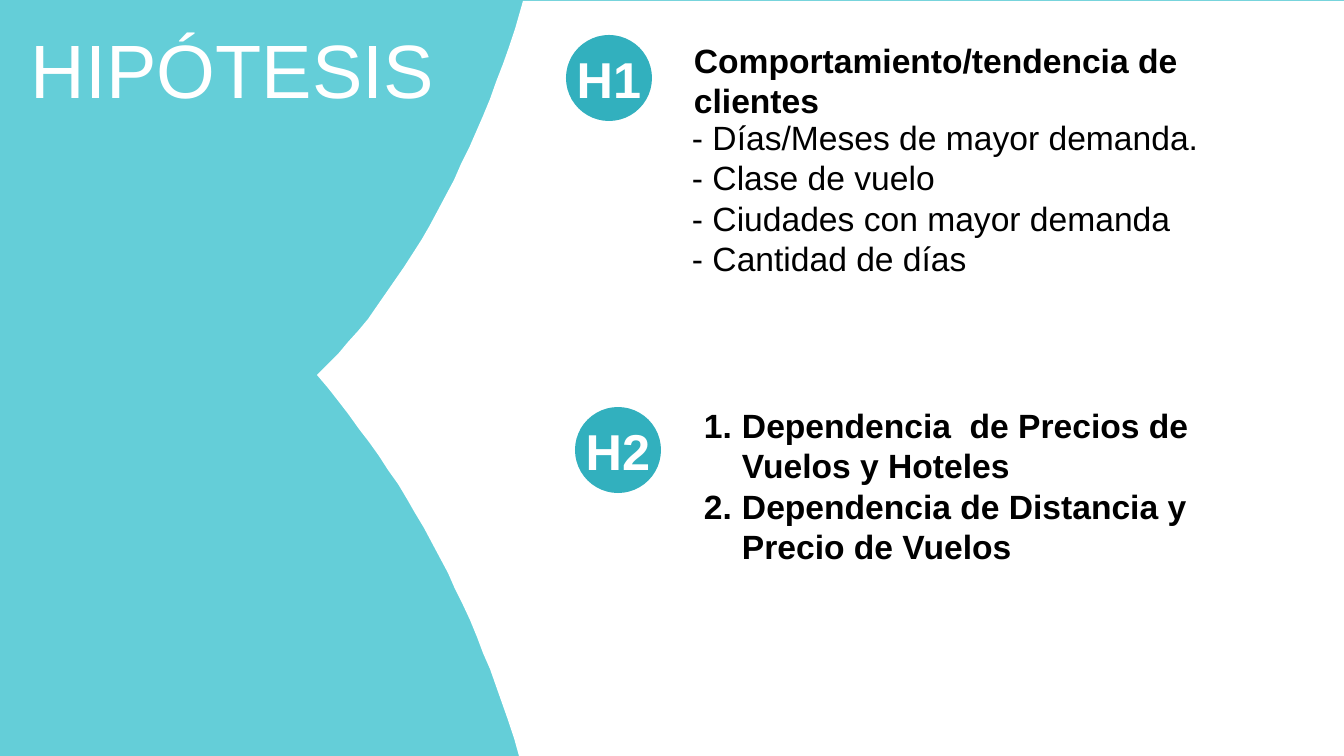
import pptx
import pptx.util
import pptx.dml.color
import pptx.enum.shapes
import pptx.enum.text
import pptx.oxml

RGBColor = pptx.dml.color.RGBColor
TURQUOISE = RGBColor(0x64, 0xCE, 0xD8)
TEAL = RGBColor(0x32, 0xB0, 0xBE)
WHITE = RGBColor(0xFF, 0xFF, 0xFF)
BLACK = RGBColor(0x00, 0x00, 0x00)
EMU_PER_PX = 914400 / 100.8
WIDTH, HEIGHT = 1344, 756
CIRCLE = 86
CURVE_STEPS = 24
NAMESPACE = 'xmlns:a="http://schemas.openxmlformats.org/drawingml/2006/main"'


def px(length):
    return pptx.util.Emu(round(length * EMU_PER_PX))


def write_text(shape, lines, size, color, bold=False, align="LEFT", anchor="TOP",
               inset=(12, 5), wrap=True, numbered=False):
    frame = shape.text_frame
    frame.word_wrap = wrap
    frame.vertical_anchor = getattr(pptx.enum.text.MSO_ANCHOR, anchor)
    frame.margin_left = frame.margin_right = px(inset[0])
    frame.margin_top = frame.margin_bottom = px(inset[1])
    for index, line in enumerate(lines):
        paragraph = frame.paragraphs[0] if index == 0 else frame.add_paragraph()
        paragraph.alignment = getattr(pptx.enum.text.PP_ALIGN, align)
        if numbered:
            properties = paragraph._p.get_or_add_pPr()
            properties.set("marL", str(px(38)))
            properties.set("indent", str(-px(38)))
            properties.append(pptx.oxml.parse_xml(
                f'<a:buFont {NAMESPACE} typeface="+mj-lt"/>'))
            properties.append(pptx.oxml.parse_xml(
                f'<a:buAutoNum {NAMESPACE} type="arabicPeriod"/>'))
        run = paragraph.add_run()
        run.text = line
        run.font.name = "Arial"
        run.font.size = pptx.util.Pt(size)
        run.font.bold = bold
        run.font.color.rgb = color


presentation = pptx.Presentation()
presentation.slide_width = px(WIDTH)
presentation.slide_height = px(HEIGHT)
slide = presentation.slides.add_slide(presentation.slide_layouts[6])
slide.background.fill.solid()
slide.background.fill.fore_color.rgb = TURQUOISE

edge_curves = [
    [(514, 738), (469, 597), (406, 480), (317, 375)],
    [(317, 375), (402, 292), (467, 173), (515, 29)],
]
edge = []
for start, control_1, control_2, end in edge_curves:
    for step in range(CURVE_STEPS + 1):
        t = step / CURVE_STEPS
        weights = ((1 - t) ** 3, 3 * t * (1 - t) ** 2, 3 * t ** 2 * (1 - t), t ** 3)
        points = (start, control_1, control_2, end)
        edge.append(tuple(sum(w * p[axis] for w, p in zip(weights, points))
                          for axis in (0, 1)))

builder = slide.shapes.build_freeform(523, 1, scale=EMU_PER_PX)
builder.add_line_segments([(WIDTH, 1), (WIDTH, HEIGHT), (519, HEIGHT)] + edge, close=True)
panel = builder.convert_to_shape()
panel.shadow.inherit = False
panel.fill.solid()
panel.fill.fore_color.rgb = WHITE
panel.line.fill.background()

title = slide.shapes.add_textbox(px(21), px(17), px(440), px(102))
write_text(title, ["HIPÓTESIS"], 54, WHITE, anchor="MIDDLE", inset=(10, 5))

for label, left, top in [("H1", 566, 35), ("H2", 575, 407)]:
    circle = slide.shapes.add_shape(pptx.enum.shapes.MSO_SHAPE.OVAL,
                                    px(left), px(top), px(CIRCLE), px(CIRCLE))
    circle.shadow.inherit = False
    circle.fill.solid()
    circle.fill.fore_color.rgb = TEAL
    circle.line.fill.background()
    write_text(circle, [label], 36, WHITE, bold=True, align="CENTER",
               anchor="MIDDLE", inset=(0, 0), wrap=False)

heading = slide.shapes.add_textbox(px(682), px(35), px(565), px(91))
write_text(heading, ["Comportamiento/tendencia de clientes"], 24, BLACK, bold=True)

details = slide.shapes.add_textbox(px(682), px(112), px(565), px(172))
write_text(details, [
    "- Días/Meses de mayor demanda.",
    "- Clase de vuelo",
    "- Ciudades con mayor demanda",
    "- Cantidad de días",
], 24, BLACK, inset=(10, 5))

dependencies = slide.shapes.add_textbox(px(692), px(400), px(565), px(173))
write_text(dependencies, [
    "Dependencia  de Precios de Vuelos y Hoteles",
    "Dependencia de Distancia y Precio de Vuelos",
], 24, BLACK, bold=True, numbered=True)

presentation.save("out.pptx")
